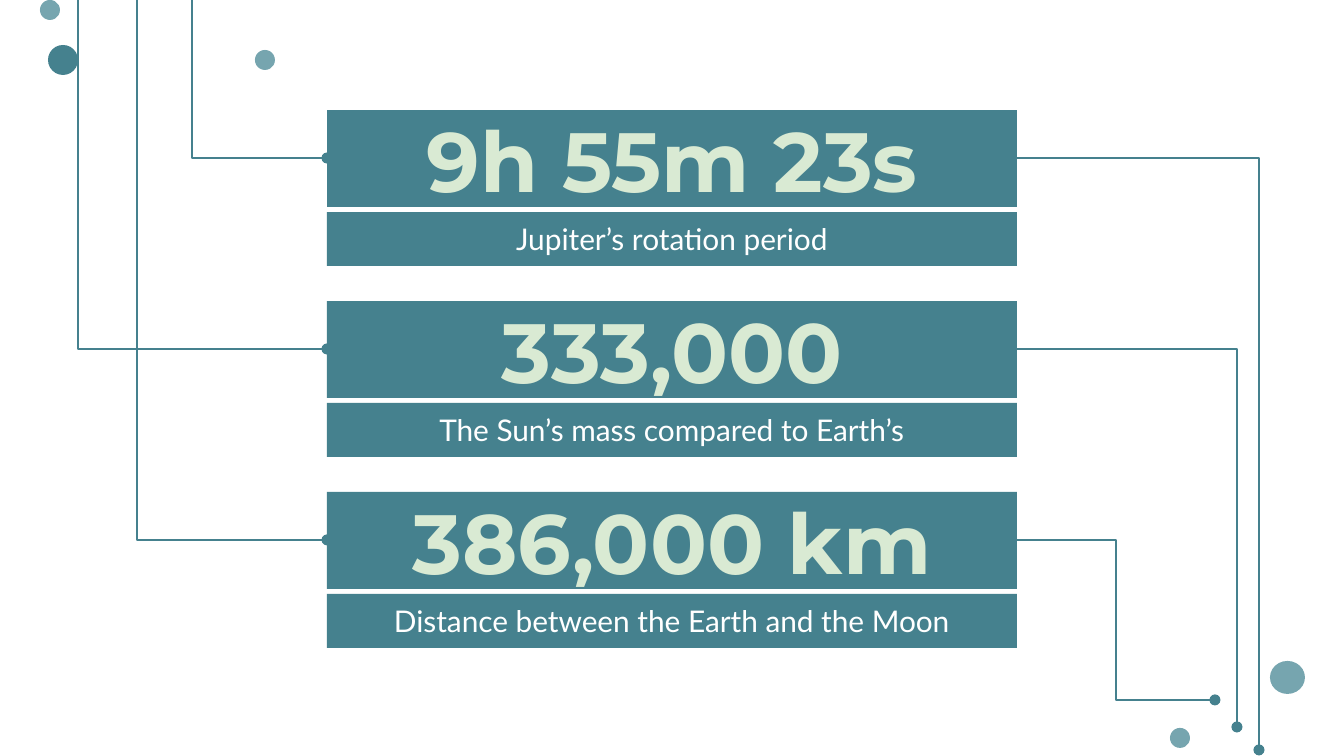
import dataclasses

import lxml.etree
import pptx
import pptx.dml.color
import pptx.enum.shapes
import pptx.enum.text
import pptx.oxml.ns
import pptx.util


@dataclasses.dataclass(frozen=True)
class Theme:
    teal: str = "45818E"
    mist: str = "76A5AF"
    mint: str = "D9EAD3"
    white: str = "FFFFFF"
    big: int = 45
    small: int = 16
    line: float = 1.5


theme = Theme()
shape_type = pptx.enum.shapes.MSO_SHAPE
qn = pptx.oxml.ns.qn
rgb = pptx.dml.color.RGBColor.from_string


def px(*nums):
    """Turn pixels, 134.4 to the inch, into EMU."""
    return [pptx.util.Emu(round(num * 914400 / 134.4)) for num in nums]


def write(shape, text, *, size, font, color, bold=False):
    """Fill a teal box with one centred line of text."""
    shape.fill.solid()
    shape.fill.fore_color.rgb = rgb(theme.teal)
    shape.line.fill.background()
    frame = shape.text_frame
    frame.auto_size = pptx.enum.text.MSO_AUTO_SIZE.NONE
    frame.word_wrap = True
    frame.vertical_anchor = pptx.enum.text.MSO_ANCHOR.MIDDLE
    inset = pptx.util.Inches(0.1)
    frame.margin_left = frame.margin_right = inset
    frame.margin_top = frame.margin_bottom = inset
    frame.text = text
    para = frame.paragraphs[0]
    para.alignment = pptx.enum.text.PP_ALIGN.CENTER
    face = para.runs[0].font
    face.name, face.size, face.bold = font, pptx.util.Pt(size), bold
    face.color.rgb = rgb(color)


deck = pptx.Presentation()
deck.slide_width, deck.slide_height = px(1344, 756)
slide = deck.slides.add_slide(deck.slide_layouts[5])
shapes = slide.shapes

# Loose dots: left, top, width, height, colour
dots = [
    (1170, 728, 20, 20, theme.mist),
    (1270, 661, 35, 33, theme.mist),
    (48, 45, 30, 30, theme.teal),
    (255, 50, 20, 20, theme.mist),
    (40, 0, 20, 20, theme.mist),
]
for *box, color in dots:
    dot = shapes.add_shape(shape_type.OVAL, *px(*box))
    dot.shadow.inherit = False
    dot.fill.solid()
    dot.fill.fore_color.rgb = rgb(color)
    dot.line.fill.background()

# Facts, each a number over its caption
left, top, width, step = 327, 110, 690, 191
right = left + width
facts = [
    ("9h 55m 23s", "Jupiter’s rotation period"),
    ("333,000", "The Sun’s mass compared to Earth’s"),
    ("386,000 km", "Distance between the Earth and the Moon"),
]
for row, (number, label) in enumerate(facts):
    y = top + row * step
    place = px(left, y, width, 97)
    if row == 0:
        head = shapes.title
        head.left, head.top, head.width, head.height = place
    else:
        head = shapes.add_shape(shape_type.RECTANGLE, *place)
        head.shadow.inherit = False
    write(head, number, size=theme.big, font="Montserrat",
          color=theme.mint, bold=True)
    note = shapes.add_shape(shape_type.RECTANGLE, *px(left, y + 102, width, 54))
    note.shadow.inherit = False
    write(note, label, size=theme.small, font="Lato", color=theme.white)

# Bent lines: start, end, and the share of the width where they turn
mids = [top + 48 + row * step for row in range(len(facts))]
wires = [
    (57, -28, left, mids[0], 0.5),
    (78, -5, left, mids[1], 0),
    (137, -70, left, mids[2], 0),
    (right, mids[0], 1259, 750, 1),
    (right, mids[1], 1237, 727, 1),
    (right, mids[2], 1215, 700, 0.5),
]
for *ends, turn in wires:
    wire = shapes.add_connector(
        pptx.enum.shapes.MSO_CONNECTOR.ELBOW, *px(*ends))
    wire.line.color.rgb = rgb(theme.teal)
    wire.line.width = pptx.util.Pt(theme.line)
    props = wire.line._get_or_add_ln()
    lxml.etree.SubElement(props, qn("a:tailEnd"), type="oval")
    frame = wire._element.spPr
    lxml.etree.SubElement(frame, qn("a:effectLst"))
    guides = frame.find(qn("a:prstGeom")).get_or_add_avLst()
    lxml.etree.SubElement(guides, qn("a:gd"), name="adj1",
                          fmla=f"val {round(turn * 100000)}")

deck.save("out.pptx")
